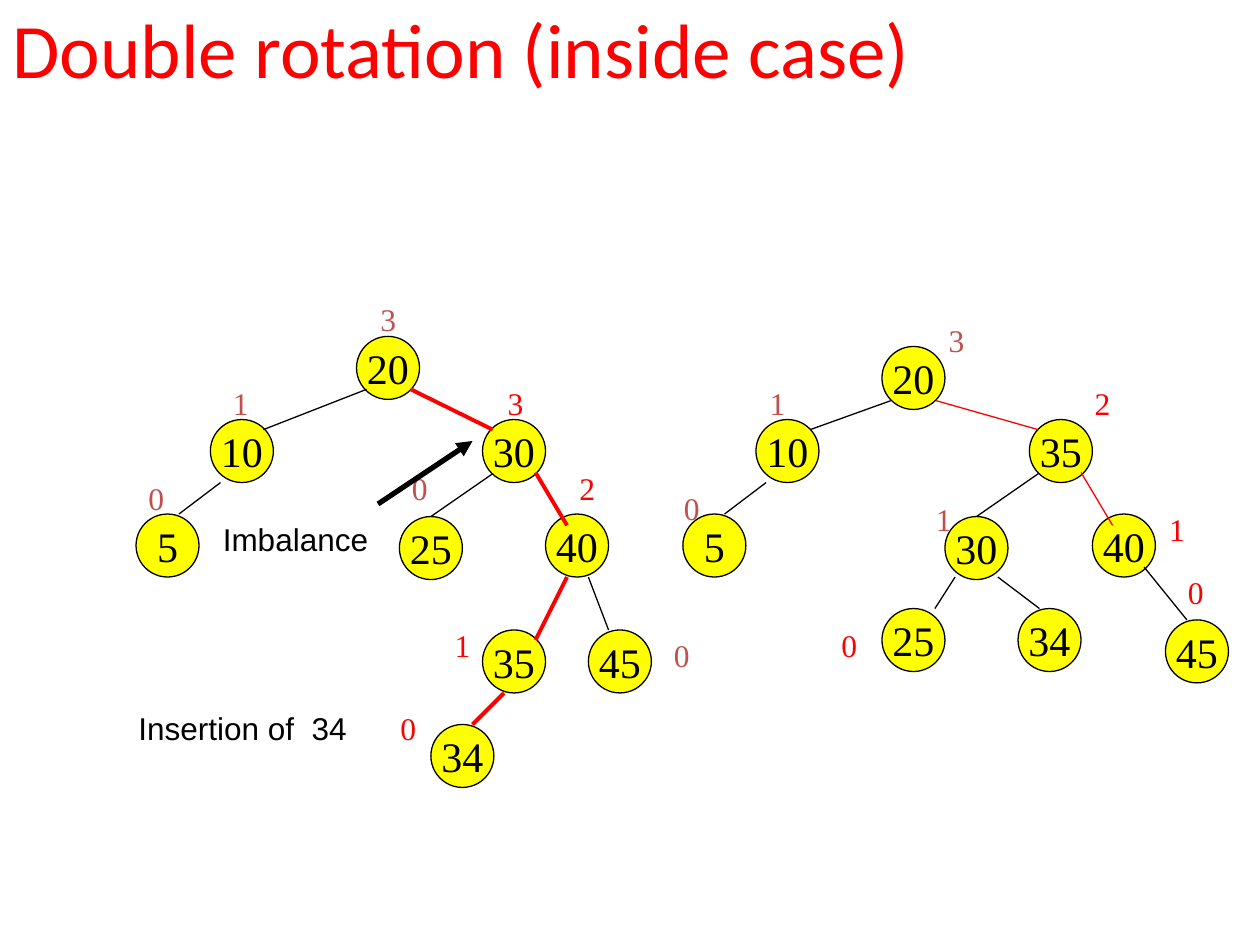
from dataclasses import dataclass

from lxml import etree
from pptx import Presentation
from pptx.dml.color import RGBColor
from pptx.enum.shapes import MSO_CONNECTOR, MSO_SHAPE
from pptx.enum.text import MSO_ANCHOR, PP_ALIGN
from pptx.oxml.ns import qn
from pptx.util import Inches, Pt

OVAL = MSO_SHAPE.OVAL
STRAIGHT = MSO_CONNECTOR.STRAIGHT
CENTER = PP_ALIGN.CENTER
TOP = MSO_ANCHOR.TOP
MIDDLE = MSO_ANCHOR.MIDDLE


@dataclass(frozen=True)
class Theme:
    ink: RGBColor = RGBColor(0, 0, 0)
    changed: RGBColor = RGBColor(255, 0, 0)
    steady: RGBColor = RGBColor(0xC0, 0x50, 0x4D)
    node: RGBColor = RGBColor(255, 255, 0)
    title_font: str = "Calibri"
    tree_font: str = "Times New Roman"
    note_font: str = "Arial"
    title_size: int = 44
    key_size: int = 24
    label_size: int = 18
    thin: float = 0.75
    bold: float = 2.25
    arrow: float = 3


THEME = Theme()
NODE_SIZE = 0.5

BEFORE_NODES = [
    ("20", 2.83, 2.67), ("10", 1.67, 3.33), ("30", 3.83, 3.33),
    ("5", 1.08, 4.08), ("25", 3.17, 4.1), ("40", 4.33, 4.08),
    ("35", 3.83, 5), ("45", 4.67, 5), ("34", 3.42, 5.75),
]
AFTER_NODES = [
    ("20", 7, 2.75), ("10", 6, 3.33), ("35", 8.17, 3.33),
    ("5", 5.42, 4.08), ("30", 7.5, 4.1), ("40", 8.67, 4.08),
    ("25", 7, 4.83), ("34", 8.08, 4.83), ("45", 9.25, 4.92),
]

BEFORE_EDGES = [
    (2.91, 3.09, 2.09, 3.41), (3.91, 3.76, 3.42, 4.1),
    (1.75, 3.83, 1.42, 4.08), (4.67, 4.58, 4.83, 5),
]
INSERTION_EDGES = [
    (3.26, 3.09, 3.91, 3.41), (4.25, 3.75, 4.5, 4.17),
    (4.5, 4.58, 4.25, 5.08), (4, 5.5, 3.75, 5.75),
]
AFTER_EDGES = [
    (7.07, 3.18, 6.43, 3.41), (8.24, 3.76, 7.75, 4.1),
    (6.08, 3.83, 5.75, 4.08), (9.08, 4.5, 9.42, 4.92),
    (7.58, 4.58, 7.42, 4.83), (7.92, 4.58, 8.25, 4.83),
]
ROTATED_EDGES = [(7.43, 3.18, 8.24, 3.41), (8.58, 3.75, 8.83, 4.17)]

STEADY_HEIGHTS = [
    ("3", 2.92, 2.33), ("1", 1.75, 3), ("0", 1.08, 3.75),
    ("0", 3.17, 3.67), ("0", 5.25, 5),
    ("3", 7.43, 2.5), ("1", 6.01, 3), ("0", 5.33, 3.83), ("1", 7.33, 3.92),
]
CHANGED_HEIGHTS = [
    ("3", 3.93, 3), ("2", 4.5, 3.67), ("1", 3.51, 4.92), ("0", 3.08, 5.58),
    ("2", 8.59, 3), ("1", 9.18, 4), ("0", 9.33, 4.5), ("0", 6.58, 4.92),
]


def set_text(frame, text, font_name, size, color):
    frame.text = text
    font = frame.paragraphs[0].runs[0].font
    font.name = font_name
    font.size = Pt(size)
    font.color.rgb = color


def add_text(slide, text, left, top, width, height, font_name, size, color, anchor=TOP):
    box = slide.shapes.add_textbox(Inches(left), Inches(top), Inches(width), Inches(height))
    frame = box.text_frame
    frame.word_wrap = True
    frame.vertical_anchor = anchor
    set_text(frame, text, font_name, size, color)


def add_height(slide, height, left, top, color):
    add_text(slide, height, left, top, 0.34, 0.4, THEME.tree_font, THEME.label_size, color)


def add_note(slide, text, left, top, width):
    add_text(slide, text, left, top, width, 0.4, THEME.note_font, THEME.label_size, THEME.ink)


def add_node(slide, key, left, top):
    node = slide.shapes.add_shape(
        OVAL, Inches(left), Inches(top), Inches(NODE_SIZE), Inches(NODE_SIZE))
    node.shadow.inherit = False
    node.fill.solid()
    node.fill.fore_color.rgb = THEME.node
    node.line.color.rgb = THEME.ink
    node.line.width = Pt(THEME.thin)
    frame = node.text_frame
    frame.word_wrap = False
    frame.vertical_anchor = MIDDLE
    set_text(frame, key, THEME.tree_font, THEME.key_size, THEME.ink)
    frame.paragraphs[0].alignment = CENTER


def add_edge(slide, ends, color, width):
    edge = slide.shapes.add_connector(STRAIGHT, *(Inches(value) for value in ends))
    edge.line.color.rgb = color
    edge.line.width = Pt(width)
    etree.SubElement(edge._element.spPr, qn("a:effectLst"))
    return edge


def add_arrow(slide, ends):
    arrow = add_edge(slide, ends, THEME.ink, THEME.arrow)
    etree.SubElement(arrow.line._get_or_add_ln(), qn("a:tailEnd"), type="triangle")


def main():
    deck = Presentation()
    deck.slide_width = Inches(10)
    deck.slide_height = Inches(7.5)
    slide = deck.slides.add_slide(deck.slide_layouts[6])

    add_text(slide, "Double rotation (inside case)", 0, -0.25, 7.75, 1.25,
             THEME.title_font, THEME.title_size, THEME.changed, MIDDLE)
    for key, left, top in BEFORE_NODES + AFTER_NODES:
        add_node(slide, key, left, top)
    for edges, color, width in (
        (BEFORE_EDGES + AFTER_EDGES, THEME.ink, THEME.thin),
        (INSERTION_EDGES, THEME.changed, THEME.bold),
        (ROTATED_EDGES, THEME.changed, THEME.thin),
    ):
        for ends in edges:
            add_edge(slide, ends, color, width)
    for heights, color in ((STEADY_HEIGHTS, THEME.steady), (CHANGED_HEIGHTS, THEME.changed)):
        for height, left, top in heights:
            add_height(slide, height, left, top, color)
    add_note(slide, "Imbalance", 1.67, 4.08, 1.5)
    add_note(slide, "Insertion of  34", 1, 5.58, 2.08)
    add_arrow(slide, (3, 4, 3.75, 3.5))

    deck.save("out.pptx")


if __name__ == "__main__":
    main()
